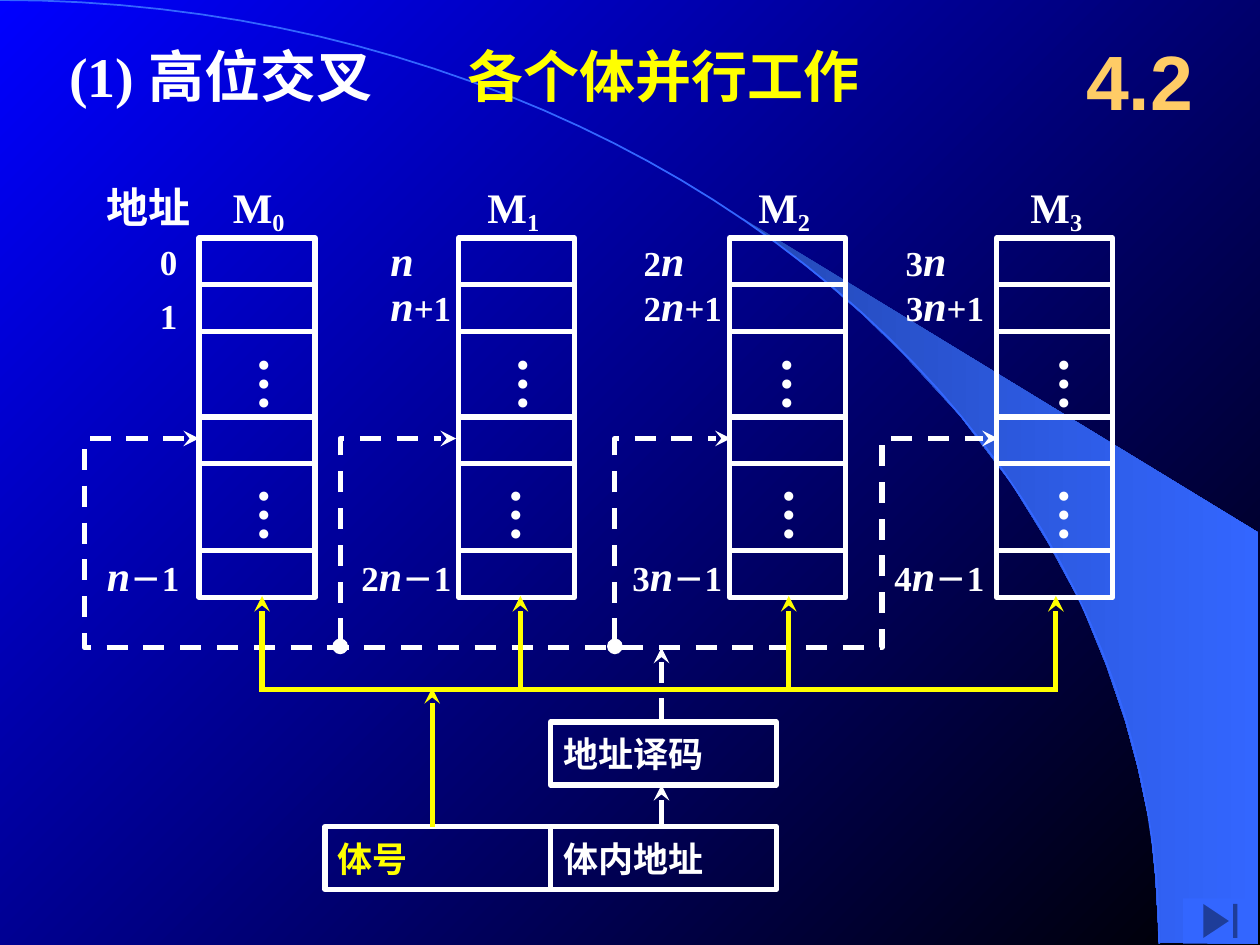
import itertools
import math
from dataclasses import dataclass

import pptx
import pptx.dml.color
import pptx.enum.dml
import pptx.enum.shapes
import pptx.enum.text
import pptx.oxml.ns
import pptx.util
from lxml import etree
from pptx.util import Inches

INK = {"white": "FFFFFF", "yellow": "FFFF00", "gold": "FFCC66", "sky": "3366FF",
       "dusk": "2449B6", "blue": "0000FF", "black": "000000"}
SERIF = "Times New Roman"
WIDE = 0.92
TOP = 1.89
ROWS = [0.37, 0.37, 0.68, 0.37, 0.69, 0.37]
FOOT = TOP + sum(ROWS) - 0.01
BUS = 5.47
LOOP = 5.14
PORT = 3.48
BEAM = [(9.2, 7.48), (9.99, 7.49), (9.99, 4.23), (5.89, 1.73), (6.24, 1.99),
        (6.53, 2.22), (6.85, 2.5), (7.16, 2.8), (7.62, 3.3), (8.03, 3.84),
        (8.32, 4.31), (8.58, 4.79), (8.78, 5.28), (8.93, 5.72), (9.03, 6.09),
        (9.13, 6.56), (9.17, 6.96), (9.2, 7.48)]
ARC = [(9.2 * math.sin(math.radians(t)), 7.49 - 7.49 * math.cos(math.radians(t)))
       for t in range(0, 91, 2)]


@dataclass
class Run:
    text: str
    size: float
    slant: bool = False
    sub: bool = False


@dataclass
class Label:
    x: float
    y: float
    wide: float
    high: float
    runs: list[Run]
    ink: str = "white"
    font: str = SERIF
    wrap: bool = False
    tall: bool = False


@dataclass
class Bank:
    """One memory module: its cells, its name and the addresses beside it."""
    x: float
    name_x: float
    dots: tuple[float, float]
    first: list[tuple[str, float, float, float]]
    last: tuple[str, float, float]
    feed: float


BANKS = [
    Bank(1.58, 1.75, (1.83, 1.83), [("0", 1.17, 1.86, 0.34), ("1", 1.17, 2.29, 0.34)],
         ("n－1", 0.75, 0.78), 2.08),
    Bank(3.64, 3.77, (3.89, 3.83), [("n", 3, 1.81, 0.39), ("n+1", 3, 2.17, 0.68)],
         ("2n－1", 2.77, 0.92), 4.13),
    Bank(5.79, 5.92, (5.98, 6), [("2n", 5.01, 1.81, 0.53), ("2n+1", 5.01, 2.17, 0.82)],
         ("3n－1", 4.92, 0.92), 6.26),
    Bank(7.91, 8.08, (8.18, 8.18), [("3n", 7.09, 1.81, 0.53), ("3n+1", 7.09, 2.17, 0.82)],
         ("4n－1", 7, 0.92), 8.38),
]


def shade(name: str) -> pptx.dml.color.RGBColor:
    return pptx.dml.color.RGBColor.from_string(INK[name])


def blend(fill, start: str, end: str, angle: float) -> None:
    fill.gradient()
    fill.gradient_angle = angle
    for stop, name in zip(fill.gradient_stops, (start, end)):
        stop.color.rgb = shade(name)


def style(run, size: float, ink: str, font: str = SERIF) -> None:
    run.font.size = pptx.util.Pt(size)
    run.font.name = font
    run.font.bold = True
    run.font.color.rgb = shade(ink)


def maths(label: str) -> list[Run]:
    """Split an address so that n is large and slanted and the dash is small."""
    sizes = {"n": 24, "－": 18}
    groups = itertools.groupby(label, lambda c: sizes.get(c, 20))
    return [Run("".join(chars), size, size == 24) for size, chars in groups]


def write(slide, label: Label):
    box = slide.shapes.add_textbox(Inches(label.x), Inches(label.y),
                                   Inches(label.wide), Inches(label.high))
    frame = box.text_frame
    frame.word_wrap = label.wrap
    frame.auto_size = pptx.enum.text.MSO_AUTO_SIZE.SHAPE_TO_FIT_TEXT
    if label.tall:
        frame._txBody.bodyPr.set("vert", "eaVert")
    for part in label.runs:
        run = frame.paragraphs[0].add_run()
        run.text = part.text
        style(run, part.size, label.ink, label.font)
        run.font.italic = part.slant
        if part.sub:
            run.font._element.set("baseline", "-20000")
    return frame


def stroke(shape, ink: str, head: str = "", tail: str = "", dash: bool = False,
           width: float = 3) -> None:
    shape.line.color.rgb = shade(ink)
    shape.line.width = pptx.util.Pt(width)
    if dash:
        shape.line.dash_style = pptx.enum.dml.MSO_LINE.DASH
    line = shape._element.spPr.find(pptx.oxml.ns.qn("a:ln"))
    for tag, kind in (("a:headEnd", head), ("a:tailEnd", tail)):
        if kind:
            etree.SubElement(line, pptx.oxml.ns.qn(tag)).set("type", kind)


def trace(slide, points: list[tuple[float, float]], close: bool = False):
    spots = [(Inches(x), Inches(y)) for x, y in points]
    pen = slide.shapes.build_freeform(*spots[0])
    pen.add_line_segments(spots[1:], close=close)
    shape = pen.convert_to_shape()
    shape.shadow.inherit = False
    shape.fill.background()
    return shape


def link(slide, start: tuple[float, float], end: tuple[float, float], ink: str,
         tail: str = "stealth", dash: bool = False) -> None:
    wire = slide.shapes.add_connector(pptx.enum.shapes.MSO_CONNECTOR.STRAIGHT,
                                      *map(Inches, start + end))
    stroke(wire, ink, tail=tail, dash=dash)
    etree.SubElement(wire._element.spPr, pptx.oxml.ns.qn("a:effectLst"))


def frame_box(slide, x: float, y: float, wide: float, high: float,
              text: str = "", ink: str = "white") -> None:
    box = slide.shapes.add_shape(pptx.enum.shapes.MSO_SHAPE.RECTANGLE,
                                 *map(Inches, (x, y, wide, high)))
    box.shadow.inherit = False
    box.fill.background()
    stroke(box, "white")
    if text:
        box.text_frame.text = text
        style(box.text_frame.paragraphs[0].runs[0], 20, ink)


def draw_bank(slide, index: int, bank: Bank) -> None:
    name = [Run("M", 24), Run(str(index), 24, sub=True)]
    write(slide, Label(bank.name_x, 1.39, 0.63, 0.5, name))
    y = TOP
    for high in ROWS:
        frame_box(slide, bank.x, y, WIDE, high)
        y += high
    for x, y in zip(bank.dots, (2.73, 3.77)):
        write(slide, Label(x, y, 0.73, 0.55, [Run("…", 32)], tall=True))
    for text, x, y, wide in bank.first:
        write(slide, Label(x, y, wide, 0.5 if "n" in text else 0.43, maths(text)))
    text, x, wide = bank.last
    write(slide, Label(x, 4.31, wide, 0.5, maths(text), wrap=True))


def draw_back(slide) -> None:
    blend(slide.background.fill, "blue", "black", 315)
    beam = trace(slide, BEAM, close=True)
    blend(beam.fill, "dusk", "sky", 0)
    beam.line.fill.background()
    stroke(trace(slide, ARC), "sky", width=1)


def draw_wires(slide) -> None:
    loop = [(1.58, PORT), (0.67, PORT), (0.67, LOOP), (7, LOOP), (7, PORT), (7.92, PORT)]
    stroke(trace(slide, loop), "white", "stealth", "stealth", dash=True)
    for x in (2.7, 4.88):
        branch = trace(slide, [(x, 5.13), (x, PORT), (x + WIDE, PORT)])
        stroke(branch, "white", "oval", "stealth", dash=True)
    link(slide, (5.25, 6.56), (5.25, 6.23), "white")
    link(slide, (5.25, 5.71), (5.25, LOOP), "white", dash=True)
    link(slide, (3.43, 6.56), (3.43, 5.46), "yellow")
    link(slide, (2.07, BUS), (8.38, BUS), "yellow", tail="")
    for bank in BANKS:
        link(slide, (bank.feed, 5.49), (bank.feed, FOOT), "yellow")


def main() -> None:
    deck = pptx.Presentation()
    deck.slide_width, deck.slide_height = Inches(10), Inches(7.5)
    slide = deck.slides.add_slide(deck.slide_layouts[6])
    draw_back(slide)
    write(slide, Label(0.45, 0.28, 4.73, 0.63, [Run("(1) 高位交叉", 32)], wrap=True))
    write(slide, Label(3.61, 0.28, 3.6, 0.63, [Run("各个体并行工作", 32)], "yellow",
                       wrap=True))
    mark = write(slide, Label(8.42, 0.17, 1.25, 0.92, [Run("4.2", 44)], "gold", "Arial",
                              wrap=True))
    mark.auto_size = pptx.enum.text.MSO_AUTO_SIZE.NONE
    mark.vertical_anchor = pptx.enum.text.MSO_ANCHOR.MIDDLE
    mark.paragraphs[0].alignment = pptx.enum.text.PP_ALIGN.CENTER
    write(slide, Label(0.75, 1.39, 0.87, 0.5, [Run("地址", 24)]))
    for index, bank in enumerate(BANKS):
        draw_bank(slide, index, bank)
    frame_box(slide, 4.37, 5.73, 1.79, 0.5, "地址译码")
    frame_box(slide, 4.37, 6.56, 1.79, 0.5, "体内地址")
    frame_box(slide, 2.58, 6.56, 1.79, 0.5, "体号", "yellow")
    draw_wires(slide)
    button = slide.shapes.add_shape(pptx.enum.shapes.MSO_SHAPE.ACTION_BUTTON_END,
                                    *map(Inches, (9.39, 7.13, 0.59, 0.36)))
    button.shadow.inherit = False
    button.fill.solid()
    button.fill.fore_color.rgb = shade("sky")
    button.line.fill.background()
    deck.save("out.pptx")


if __name__ == "__main__":
    main()
